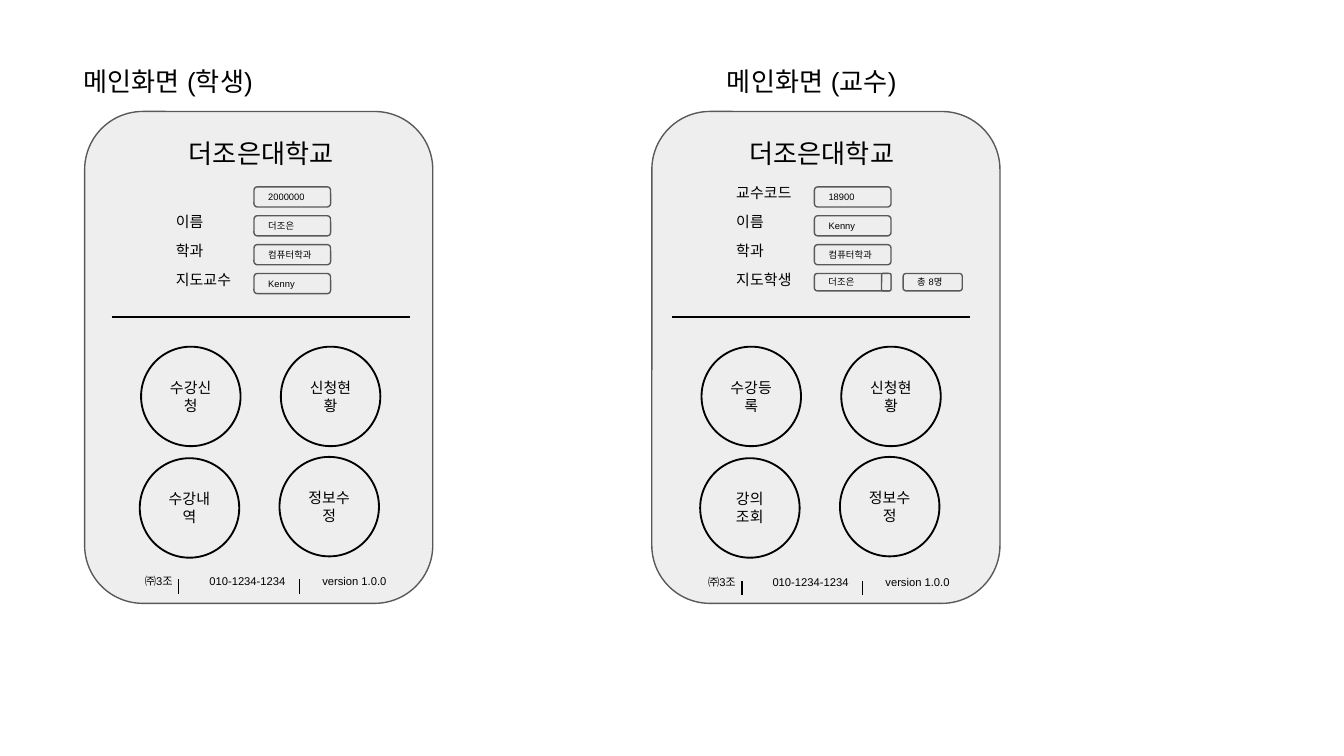
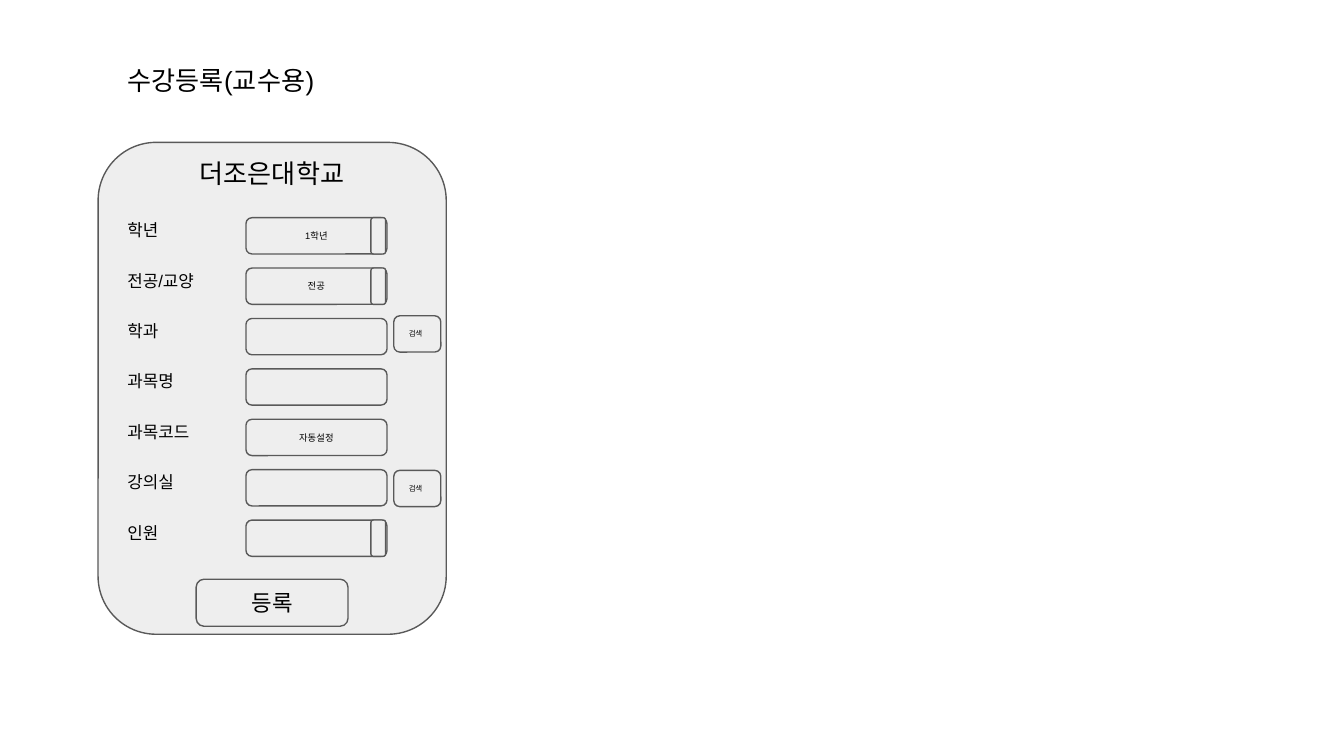
"""Build two slides of phone screen wireframes for a university enrolment app."""
from dataclasses import dataclass
from itertools import product
from typing import Optional

from lxml.etree import SubElement
from pptx import Presentation
from pptx.dml.color import RGBColor
from pptx.enum.shapes import MSO_CONNECTOR, MSO_SHAPE
from pptx.enum.text import MSO_ANCHOR, MSO_AUTO_SIZE, PP_ALIGN
from pptx.oxml.ns import qn
from pptx.shapes.autoshape import Shape
from pptx.slide import Slide
from pptx.util import Inches, Pt

COLORS = {"panel": "EEEEEE", "outline": "595959", "ink": "000000"}
FONT = "Arial"
INSET = 0.1
SCHOOL = "더조은대학교"
FOOTER_PARTS = ["㈜3조", "010-1234-1234", "version 1.0.0"]
FOOTER_TABS = [0.48, 1.32]
FOOTER_BARS = [0.35, 1.25]
PROFILE_TOP, PROFILE_PITCH = 1.39, 0.43 / 2
FORM_TOP, FORM_PITCH = 1.62, 2.25 / 6
FIELD_LEFT, FIELD_WIDTH, FIELD_HEIGHT = 1.83, 1.05, 0.27


@dataclass(frozen=True)
class ProfileRow:
    label: str
    value: str
    total: str = ""


@dataclass(frozen=True)
class MainScreen:
    title: str
    title_left: float
    frame_left: float
    content_left: float
    footer_left: float
    footer_top: float
    rows: list[ProfileRow]
    menu: list[str]


@dataclass(frozen=True)
class FormRow:
    label: str
    value: str = ""
    dropdown: bool = False
    search_top: Optional[float] = None


MAIN_SCREENS = [
    MainScreen(
        "메인화면 (학생)", 0.52, 0.63, 0.83, 0.98, 4.22,
        [
            ProfileRow("", "2000000"),
            ProfileRow("이름", "더조은"),
            ProfileRow("학과", "컴퓨터학과"),
            ProfileRow("지도교수", "Kenny"),
        ],
        ["수강신청", "신청현황", "수강내역", "정보수정"],
    ),
    MainScreen(
        "메인화면 (교수)", 5.31, 4.85, 5, 5.17, 4.23,
        [
            ProfileRow("교수코드", "18900"),
            ProfileRow("이름", "Kenny"),
            ProfileRow("학과", "컴퓨터학과"),
            ProfileRow("지도학생", "더조은", "총 8명"),
        ],
        ["수강등록", "신청현황", "강의\n조회", "정보수정"],
    ),
]

FORM_ROWS = [
    FormRow("학년", "1학년", dropdown=True),
    FormRow("전공/교양", "전공", dropdown=True),
    FormRow("학과", search_top=2.35),
    FormRow("과목명"),
    FormRow("과목코드", "자동설정"),
    FormRow("강의실", search_top=3.5),
    FormRow("인원", dropdown=True),
]


def color(name: str) -> RGBColor:
    """Return a named colour."""
    return RGBColor.from_string(COLORS[name])


def write(box: Shape, text: str, size: float, centred: bool, vertical: float = INSET) -> None:
    """Write text into a box, one paragraph a line."""
    frame = box.text_frame
    frame.word_wrap = True
    frame.margin_left = frame.margin_right = Inches(INSET)
    frame.margin_top = frame.margin_bottom = Inches(vertical)
    for index, line in enumerate(text.split("\n")):
        para = frame.add_paragraph() if index else frame.paragraphs[0]
        para.alignment = PP_ALIGN.CENTER if centred else PP_ALIGN.LEFT
        span = para.add_run()
        span.text = line
        span.font.name = FONT
        span.font.size = Pt(size)
        span.font.color.rgb = color("ink")
        SubElement(span.font._element, qn("a:ea"), typeface=FONT)


def add_label(page: Slide, text: str, left: float, top: float, width: float,
              height: float, size: float, centred: bool = False) -> Shape:
    """Add a text box that grows with its text."""
    box = page.shapes.add_textbox(Inches(left), Inches(top), Inches(width), Inches(height))
    write(box, text, size, centred)
    box.text_frame.auto_size = MSO_AUTO_SIZE.SHAPE_TO_FIT_TEXT
    return box


def add_panel(page: Slide, left: float, top: float, width: float, height: float,
              text: str = "", size: float = 5, centred: bool = False,
              kind: MSO_SHAPE = MSO_SHAPE.ROUNDED_RECTANGLE) -> None:
    """Add a grey outlined panel, with text if given."""
    box = page.shapes.add_shape(kind, Inches(left), Inches(top), Inches(width), Inches(height))
    box.shadow.inherit = False
    box.fill.solid()
    box.fill.fore_color.rgb = color("panel")
    box.line.color.rgb = color("outline")
    box.line.width = Pt(0.75)
    box.text_frame.vertical_anchor = MSO_ANCHOR.MIDDLE
    if text:
        write(box, text, size, centred)


def add_menu_button(page: Slide, text: str, left: float, top: float) -> None:
    """Add a round menu button."""
    box = page.shapes.add_shape(MSO_SHAPE.FLOWCHART_CONNECTOR, Inches(left), Inches(top),
                                Inches(0.74), Inches(0.74))
    box.shadow.inherit = False
    box.fill.background()
    box.line.color.rgb = color("ink")
    box.line.width = Pt(1)
    box.text_frame.vertical_anchor = MSO_ANCHOR.MIDDLE
    write(box, text, 8, centred=True, vertical=0.05)


def add_rule(page: Slide, left: float, top: float, right: float, bottom: float) -> None:
    """Add a thin black line."""
    rule = page.shapes.add_connector(MSO_CONNECTOR.STRAIGHT, Inches(left), Inches(top),
                                     Inches(right), Inches(bottom))
    rule.line.color.rgb = color("ink")
    rule.line.width = Pt(0.75)
    SubElement(rule._element.spPr, qn("a:effectLst"))


def add_phone(page: Slide, title: str, title_left: float, title_top: float,
              left: float, top: float, school_left: float, school_top: float) -> None:
    """Add a screen title, the phone frame and the school name."""
    add_label(page, title, title_left, title_top, 2.41, 0.44, 14)
    add_panel(page, left, top, 2.59, 3.66)
    add_label(page, SCHOOL, school_left, school_top, 2.23, 0.44, 14, centred=True)


def add_profile(page: Slide, rows: list[ProfileRow], left: float) -> None:
    """Add the labelled profile fields of a main screen."""
    kind = MSO_SHAPE.FLOWCHART_ALTERNATE_PROCESS
    for index, row in enumerate(rows):
        top = PROFILE_TOP + index * PROFILE_PITCH
        if row.label:
            add_label(page, row.label, left + 0.38, top - 0.09, 0.73, 0.34, 8)
        height = 0.13 if row.total else 0.15
        add_panel(page, left + 1.06, top, 0.57, height, row.value, kind=kind)
        if row.total:
            add_panel(page, left + 1.56, top, 0.07, height, kind=kind)
            add_panel(page, left + 1.72, top, 0.44, height, row.total, kind=kind)


def add_footer(page: Slide, left: float, top: float) -> None:
    """Add the tabbed contact line and its separators."""
    box = add_label(page, "\t".join(FOOTER_PARTS), left, top, 2.6, 0.3, 6)
    stops = SubElement(box.text_frame.paragraphs[0]._p.get_or_add_pPr(), qn("a:tabLst"))
    for stop in FOOTER_TABS:
        SubElement(stops, qn("a:tab"), pos=str(Inches(stop)), algn="l")
    for offset in FOOTER_BARS:
        add_rule(page, left + offset, top + 0.2, left + offset, top + 0.09)


def add_main_screen(page: Slide, screen: MainScreen) -> None:
    """Draw one main screen."""
    left = screen.content_left
    add_phone(page, screen.title, screen.title_left, 0.39, screen.frame_left, 0.83, left, 0.92)
    add_profile(page, screen.rows, left)
    add_rule(page, left, 2.36, left + 2.22, 2.36)
    for text, (row, column) in zip(screen.menu, product(range(2), repeat=2)):
        add_menu_button(page, text, left + 0.22 + 1.04 * column - 0.01 * row,
                        2.58 + 0.83 * row - 0.01 * row * column)
    add_footer(page, screen.footer_left, screen.footer_top)


def add_registration_form(page: Slide) -> None:
    """Draw the course registration screen."""
    add_phone(page, "수강등록(교수용)", 0.85, 0.38, 0.73, 1.06, 0.91, 1.07)
    for index, row in enumerate(FORM_ROWS):
        top = FORM_TOP + index * FORM_PITCH
        add_label(page, row.label, 0.85, top - 0.06, 1.04, 0.35, 9)
        add_panel(page, FIELD_LEFT, top, FIELD_WIDTH, FIELD_HEIGHT, row.value, centred=True)
        if row.dropdown:
            add_panel(page, 2.76, top, 0.11, FIELD_HEIGHT)
        if row.search_top is not None:
            add_panel(page, 2.93, row.search_top, 0.35, FIELD_HEIGHT, "검색", 4)
    add_panel(page, 1.46, 4.31, 1.13, 0.35, "등록", 12, centred=True)


def main() -> None:
    """Build and save the deck."""
    deck = Presentation()
    deck.slide_width = Inches(10)
    deck.slide_height = deck.slide_width * 9 // 16
    blank = deck.slide_layouts[6]
    main_page = deck.slides.add_slide(blank)
    for screen in MAIN_SCREENS:
        add_main_screen(main_page, screen)
    add_registration_form(deck.slides.add_slide(blank))
    deck.save("out.pptx")


if __name__ == "__main__":
    main()
